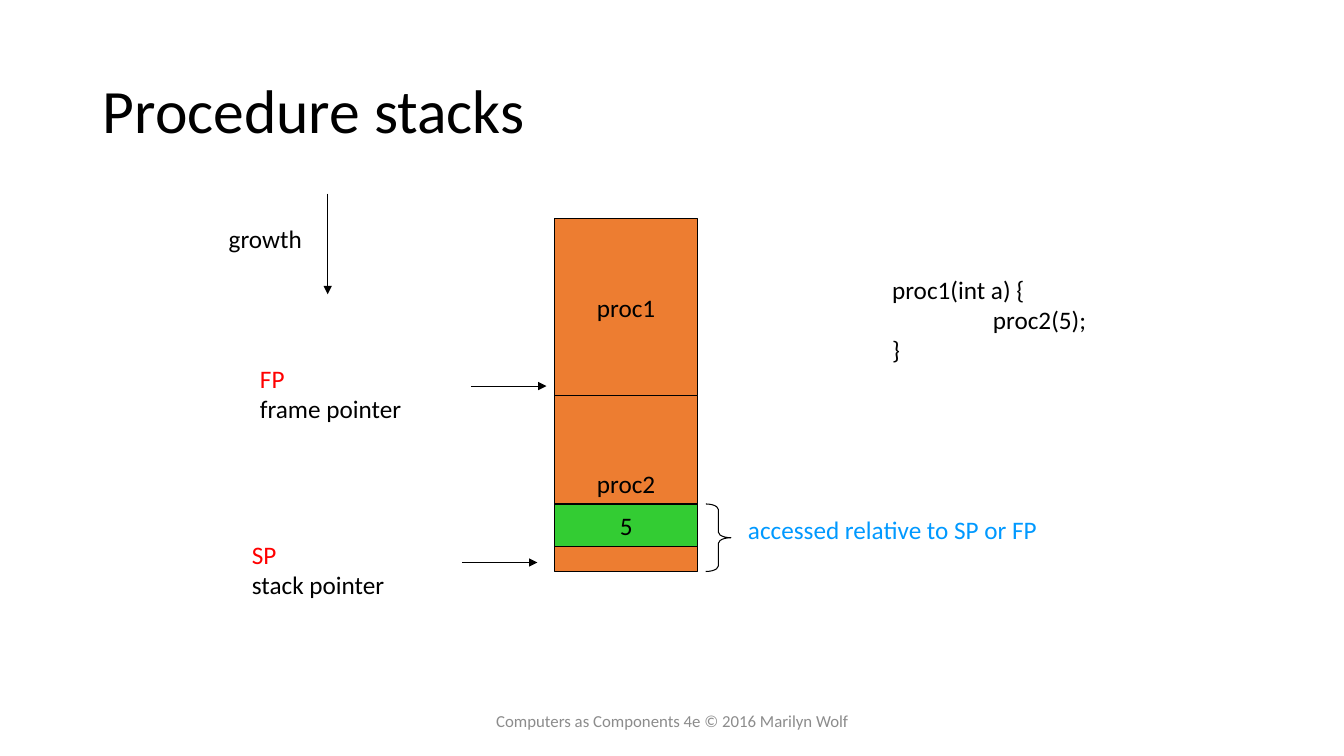
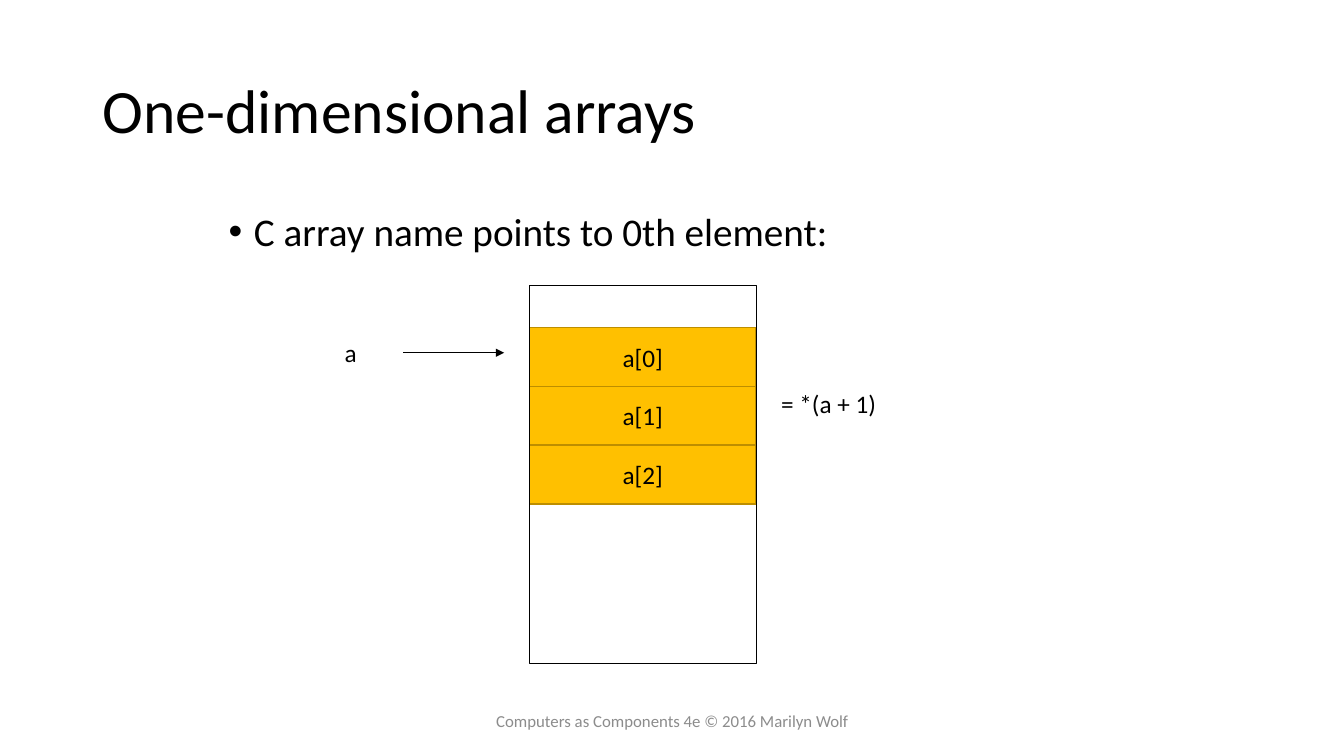
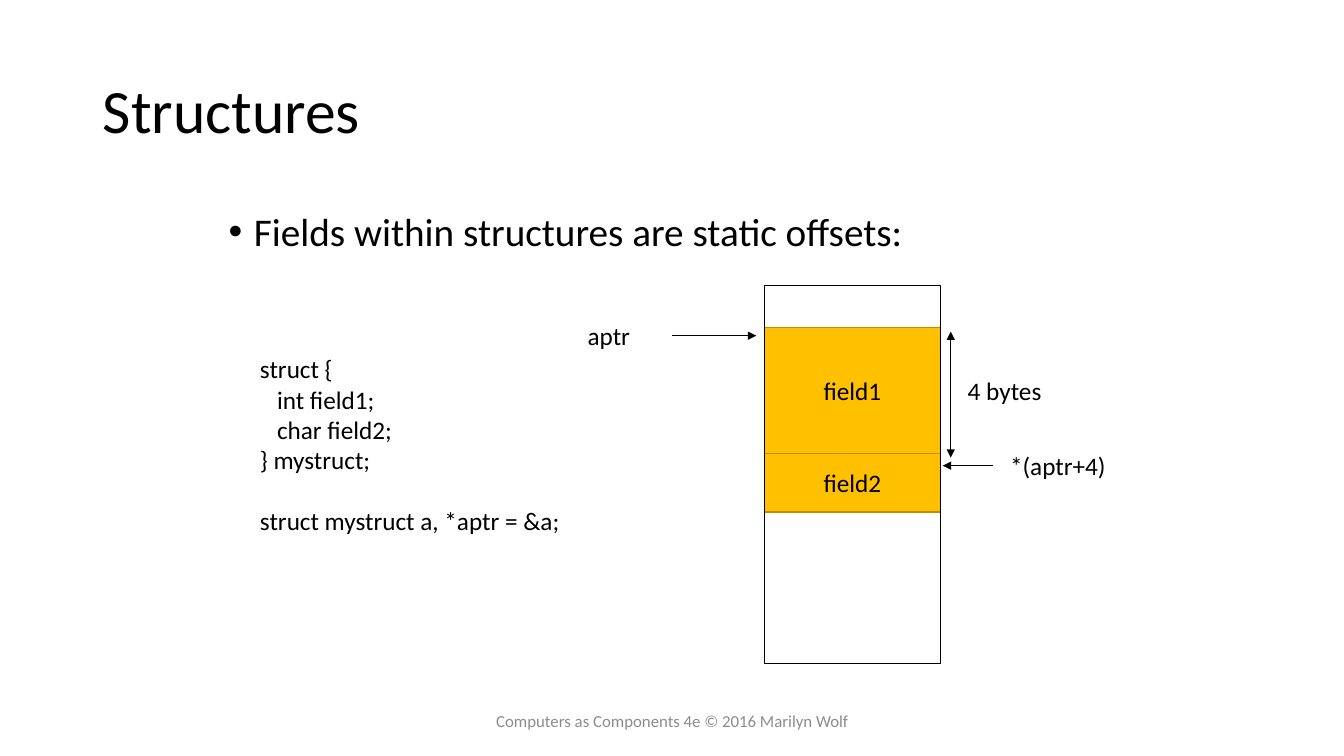
import pptx
import pptx.util
import pptx.dml.color
import pptx.enum.shapes
import pptx.enum.text
import pptx.oxml.ns
import lxml.etree

Inches, Pt = pptx.util.Inches, pptx.util.Pt
RGBColor = pptx.dml.color.RGBColor
SHAPE = pptx.enum.shapes.MSO_SHAPE
LINE = pptx.enum.shapes.MSO_CONNECTOR
ALIGN = pptx.enum.text.PP_ALIGN
ANCHOR = pptx.enum.text.MSO_ANCHOR
FIT = pptx.enum.text.MSO_AUTO_SIZE

BLACK = RGBColor(0x00, 0x00, 0x00)
GRAY = RGBColor(0x8C, 0x8C, 0x8C)
RED = RGBColor(0xFF, 0x00, 0x00)
BLUE = RGBColor(0x00, 0x99, 0xFF)
GREEN = RGBColor(0x33, 0xCC, 0x33)
ORANGE = RGBColor(0xED, 0x7D, 0x31)
GOLD = RGBColor(0xFF, 0xC0, 0x00)
BROWN = RGBColor(0xBD, 0x8E, 0x00)

FONT = "Calibri"
FOOTER = "Computers as Components 4e © 2016 Marilyn Wolf"


def add_xml(parent, tag, **attrs):
    return lxml.etree.SubElement(parent, pptx.oxml.ns.qn(tag), attrs)


class Deck:
    """Holds the shared style and the current slide."""

    def __init__(self):
        self.prs = pptx.Presentation()
        self.prs.slide_width = Inches(13.33)
        self.prs.slide_height = Inches(7.5)
        self.slide = None

    def style(self, para, size=18, color=BLACK, align=ALIGN.LEFT):
        para.alignment = align
        para.font.name = FONT
        para.font.size = Pt(size)
        para.font.color.rgb = color

    def page(self, title):
        """Start a slide with its title and footer."""
        self.slide = self.prs.slides.add_slide(self.prs.slide_layouts[5])
        head = self.slide.shapes.title
        head.left, head.top = Inches(0.92), Inches(0.4)
        head.width, head.height = Inches(11.5), Inches(1.45)
        frame = head.text_frame
        frame.text = title
        frame.auto_size = FIT.NONE
        frame.vertical_anchor = ANCHOR.MIDDLE
        para = frame.paragraphs[0]
        para.line_spacing = 0.9
        self.style(para, 44)

        foot = self.frame(4.42, 6.95, 4.5, 0.4)
        foot.vertical_anchor = ANCHOR.MIDDLE
        foot.text = FOOTER
        self.style(foot.paragraphs[0], 12, GRAY, ALIGN.CENTER)

    def frame(self, x, y, w, h):
        box = self.slide.shapes.add_textbox(
            Inches(x), Inches(y), Inches(w), Inches(h))
        box.text_frame.word_wrap = True
        return box.text_frame

    def label(self, x, y, w, h, *lines, color=BLACK):
        """Add unwrapped lines; the colour is that of the first one."""
        frame = self.frame(x, y, w, h)
        frame.word_wrap = False
        frame.auto_size = FIT.SHAPE_TO_FIT_TEXT
        frame.text = "\n".join(lines)
        for i, para in enumerate(frame.paragraphs):
            if "\t" in para.text:
                tabs = add_xml(para._p.get_or_add_pPr(), "a:tabLst")
                add_xml(tabs, "a:tab", pos=str(Inches(1)), algn="l")
            self.style(para, color=color if i == 0 else BLACK)
        return frame

    def bullet(self, text):
        frame = self.frame(2.17, 2.06, 8.94, 0.77)
        frame.text = text
        para = frame.paragraphs[0]
        props = para._p.get_or_add_pPr()
        props.set("marL", str(Inches(0.25)))
        props.set("indent", str(-Inches(0.25)))
        add_xml(props, "a:buFont", typeface="Arial")
        add_xml(props, "a:buChar", char="•")
        para.line_spacing = 0.9
        self.style(para, 28)

    def shape(self, x, y, w, h, text="", fill=None, edge=BLACK, weight=0.75,
              kind=SHAPE.RECTANGLE):
        item = self.slide.shapes.add_shape(
            kind, Inches(x), Inches(y), Inches(w), Inches(h))
        item.shadow.inherit = False
        if fill is None:
            item.fill.background()
        else:
            item.fill.solid()
            item.fill.fore_color.rgb = fill
        item.line.color.rgb = edge
        item.line.width = Pt(weight)
        if text:
            frame = item.text_frame
            frame.word_wrap = False
            frame.vertical_anchor = ANCHOR.MIDDLE
            frame.text = text
            self.style(frame.paragraphs[0], align=ALIGN.CENTER)
        return item

    def cell(self, x, y, w, h, text):
        self.shape(x, y, w, h, text, GOLD, BROWN, 1)

    def arrow(self, x1, y1, x2, y2, both=False):
        line = self.slide.shapes.add_connector(
            LINE.STRAIGHT, Inches(x1), Inches(y1), Inches(x2), Inches(y2))
        line.line.color.rgb = BLACK
        line.line.width = Pt(0.75)
        stroke = line.line._get_or_add_ln()
        if both:
            add_xml(stroke, "a:headEnd", type="triangle")
        add_xml(stroke, "a:tailEnd", type="triangle")
        add_xml(line._element.spPr, "a:effectLst")


def stacks(deck):
    deck.page("Procedure stacks")

    # Stack frames
    x, w, h = 5.5, 1.42, 1.75
    for i, name in enumerate(("proc1", "proc2")):
        deck.shape(x, 2.17 + i * h, w, h, name, ORANGE)
    deck.shape(x, 5, w, 0.42, "5", GREEN)

    # Growth and pointers
    deck.arrow(3.25, 1.92, 3.25, 2.92)
    deck.label(2.17, 2.17, 0.94, 0.4, "growth")
    deck.arrow(4.67, 3.83, 5.42, 3.83)
    deck.label(2.48, 3.55, 1.62, 0.71, "FP", "frame pointer", color=RED)
    deck.arrow(4.58, 5.58, 5.33, 5.58)
    deck.label(2.4, 5.3, 1.53, 0.71, "SP", "stack pointer", color=RED)

    # Code and access note
    deck.label(8.75, 2.67, 2.15, 1.01, "proc1(int a) {", "\tproc2(5);", "}")
    brace = deck.shape(7, 5, 0.25, 0.67, kind=SHAPE.RIGHT_BRACE)
    brace.adjustments[0] = 0.22
    deck.label(7.32, 5.05, 3.1, 0.4, "accessed relative to SP or FP",
               color=BLUE)


def arrays(deck):
    deck.page("One-dimensional arrays")
    deck.bullet("C array name points to 0th element:")

    # Memory column
    x, w, h = 5.25, 2.25, 1.75 / 3
    for i in range(3):
        deck.cell(x, 3.25 + i * h, w, h, f"a[{i}]")
    deck.shape(x, 2.83, w, 3.75)

    # Pointer and access
    deck.arrow(4, 3.5, 5, 3.5)
    deck.label(3.32, 3.3, 0.32, 0.4, "a")
    deck.label(7.65, 3.8, 1.16, 0.4, "= *(a + 1)")


def structs(deck):
    deck.page("Structures")
    deck.bullet("Fields within structures are static offsets:")

    # Memory column
    x, w = 7.58, 1.75
    deck.cell(x, 3.25, w, 1.25, "field1")
    deck.cell(x, 4.5, w, 0.58, "field2")
    deck.shape(x, 2.83, w, 3.75)

    # Code, with a gap above its last line
    code = deck.label(2.48, 3.46, 3.21, 1.92, "struct {", "   int field1;",
                      "   char field2;", "} mystruct;",
                      "struct mystruct a, *aptr = &a;")
    code.paragraphs[-1].space_before = Pt(22)

    # Pointers and offset
    deck.arrow(6.67, 3.33, 7.5, 3.33)
    deck.label(5.73, 3.13, 0.63, 0.4, "aptr")
    deck.arrow(9.43, 3.29, 9.43, 4.54, both=True)
    deck.label(9.5, 3.67, 0.94, 0.4, "4 bytes")
    deck.arrow(9.85, 4.62, 9.35, 4.62)
    deck.label(9.92, 4.42, 1.16, 0.4, "*(aptr+4)")


def main():
    deck = Deck()
    for build in (stacks, arrays, structs):
        build(deck)
    deck.prs.save("out.pptx")


if __name__ == "__main__":
    main()
